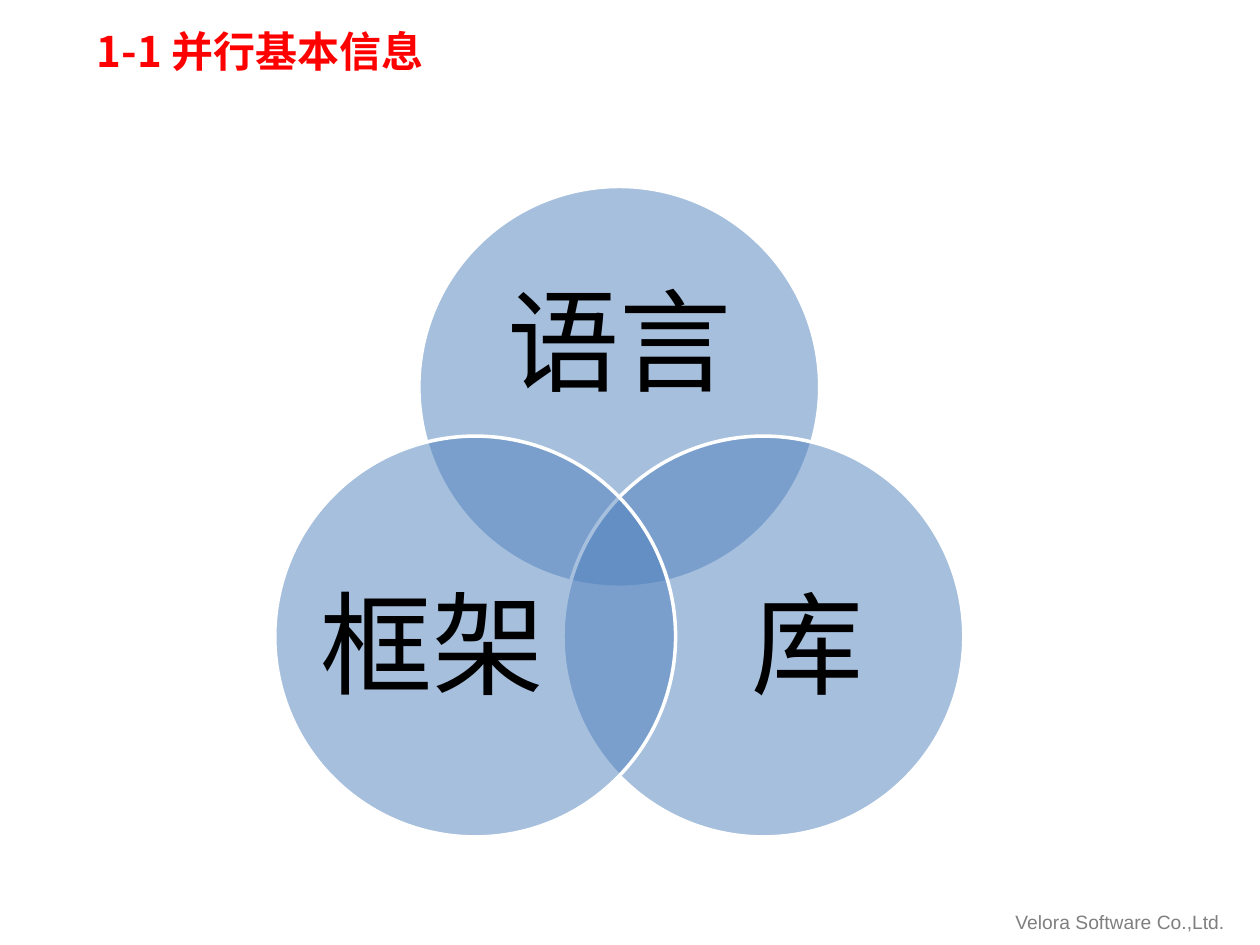
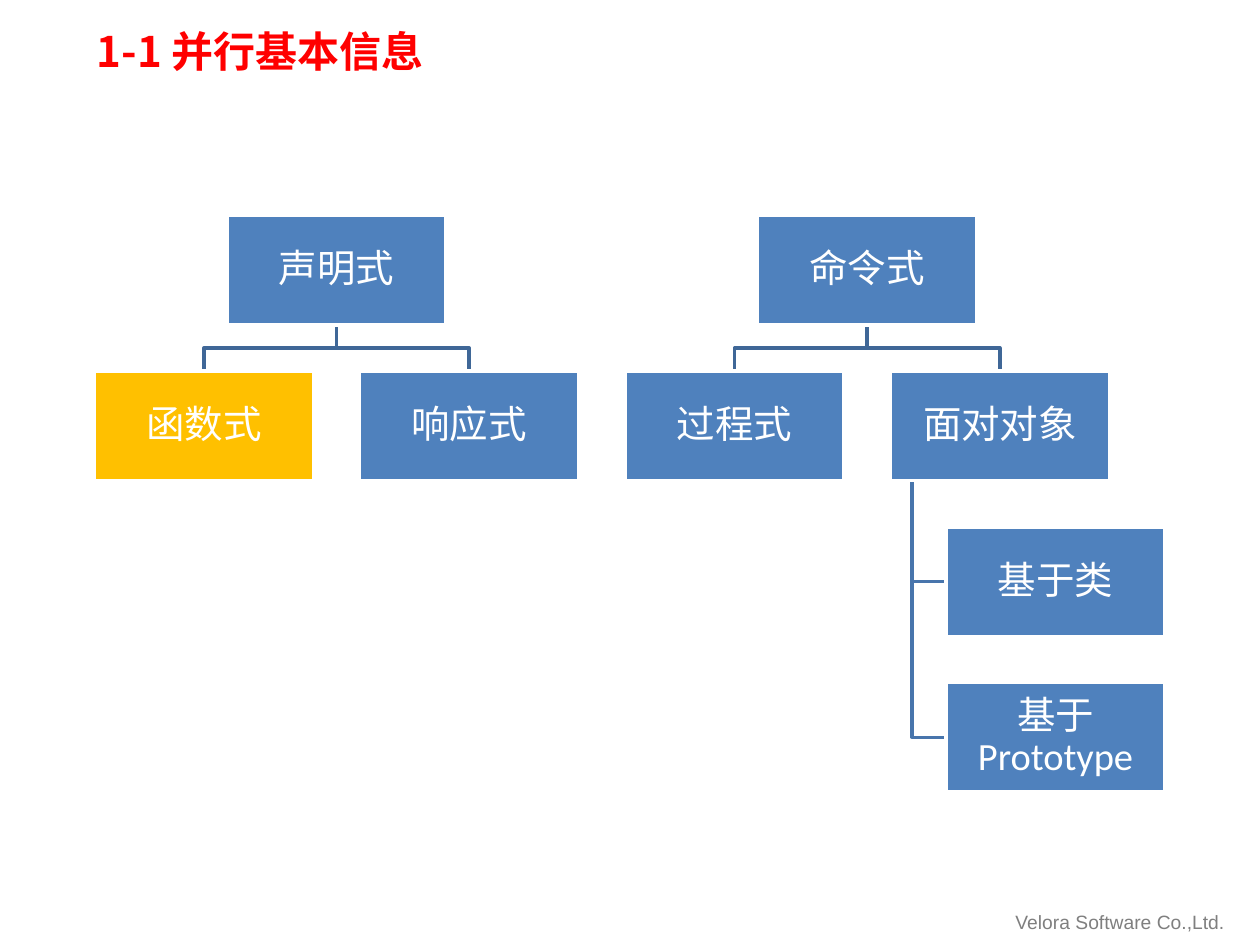
from dataclasses import dataclass
from math import cos, radians, sin

from lxml import etree
from pptx import Presentation
from pptx import util as u
from pptx.dml.color import RGBColor
from pptx.enum import shapes as sh, text as tx
from pptx.oxml import ns


@dataclass(frozen=True)
class Theme:
    red: str = "FF0000"
    blue: str = "4F81BD"
    gold: str = "FFC000"
    white: str = "FFFFFF"
    black: str = "000000"
    grey: str = "7F7F7F"
    link: str = "3F6797"
    side: str = "4875AC"
    body: str = "Calibri"
    han: str = "Noto Sans CJK SC"
    foot: str = "Arial"
    head_size: int = 24
    venn_size: int = 64
    tree_size: int = 22
    foot_size: int = 11
    rule: int = 2


T = Theme()
TITLE = "1-1 并行基本信息"
HEAD = (1.7, 0.2, 19.48, 1.63)
FOOT = (20.22, 18.21, 4.98, 0.74)
VENN = (5.54, 3.76, 13.89, 13.13)
TREE = (1.9, 4.34, 21.59, 11.63)

RINGS = (
    ("语言", -90, (0, -0.8), (5.92, 3.63)),
    ("库", 30, (0.88, 0.27), (4.85, 4.45)),
    ("框架", 150, (-0.86, 0.27), (4.85, 4.45)),
)

NODES = {
    "声明式": (0.5, 0, None),
    "函数式": (0, 1, "声明式"),
    "响应式": (1, 1, "声明式"),
    "命令式": (2.5, 0, None),
    "过程式": (2, 1, "命令式"),
    "面对对象": (3, 1, "命令式"),
    "基于类": (3.21, 2, "面对对象"),
    "基于Prototype": (3.21, 3, "面对对象"),
}
MARKED = "函数式"


def cm(vals):
    return [u.Cm(v) for v in vals]


def put(item, vals):
    for name, val in vals.items():
        setattr(item, name, val)


def write(shape, words, size, color, face=T.body, bold=False,
          align=tx.PP_ALIGN.CENTER, lead=0.9, pad=None, wrap=True):
    frame = shape.text_frame
    put(frame, {"word_wrap": wrap, "vertical_anchor": tx.MSO_ANCHOR.MIDDLE})
    if pad is not None:
        sides = ("left", "right", "top", "bottom")
        put(frame, {f"margin_{side}": u.Cm(pad) for side in sides})
    para = frame.paragraphs[0]
    put(para, {"alignment": align, "line_spacing": lead})
    run = para.add_run()
    run.text = words
    put(run.font, {"size": u.Pt(size), "name": face, "bold": bold})
    run.font.color.rgb = RGBColor.from_string(color)
    props = run.font._element
    etree.SubElement(props, ns.qn("a:ea")).set("typeface", T.han)


def paint(shape, line, fill=None, alpha=None):
    shape.shadow.inherit = False
    shape.line.color.rgb = RGBColor.from_string(line)
    shape.line.width = u.Pt(T.rule)
    if fill is None:
        shape.fill.background()
        return
    shape.fill.solid()
    shape.fill.fore_color.rgb = RGBColor.from_string(fill)
    if alpha:
        tone = shape.element.spPr.find(ns.qn("a:solidFill"))[0]
        etree.SubElement(tone, ns.qn("a:alpha")).set("val", str(alpha * 1000))


def set_head(layout):
    spots = ("left", "top", "width", "height")
    put(layout.placeholders[0], dict(zip(spots, cm(HEAD))))


def set_foot(slide, layout):
    box = slide.shapes.add_textbox(*cm(FOOT))
    write(box, "Velora Software Co.,Ltd.", T.foot_size, T.grey, T.foot,
          align=tx.PP_ALIGN.LEFT, lead=1.0, wrap=False)
    layout.shapes.element.append(box.element)


def add_page(deck, layout):
    slide = deck.slides.add_slide(layout)
    write(slide.shapes.title, TITLE, T.head_size, T.red, T.han, True,
          tx.PP_ALIGN.LEFT, 1.0)
    return slide


def draw_venn(slide, box):
    left, top, wide, _ = box
    size = 8.08
    orbit = (wide - size) / 2 / cos(radians(30))
    mid_x, mid_y = left + wide / 2, top + size / 2 + orbit
    for words, angle, shift, area in RINGS:
        x = mid_x + orbit * cos(radians(angle))
        y = mid_y + orbit * sin(radians(angle))
        ring = slide.shapes.add_shape(
            sh.MSO_SHAPE.OVAL, *cm((x - size / 2, y - size / 2, size, size)))
        paint(ring, T.white, T.blue, 50)
        spot = (x + shift[0] - area[0] / 2, y + shift[1] - area[1] / 2)
        label = slide.shapes.add_textbox(*cm(spot + area))
        write(label, words, T.venn_size, T.black, pad=0)


def draw_link(slide, points, color):
    start, *rest = [cm(point) for point in points]
    pen = slide.shapes.build_freeform(*start)
    pen.add_line_segments(rest, close=False)
    paint(pen.convert_to_shape(), color)


def draw_tree(slide, box):
    left, top, wide, high = box
    node_w, node_h = 4.42, 2.21
    step_x = (wide - node_w) / 3.21
    step_y = (high - node_h) / 3

    def spot(name):
        col, row, _ = NODES[name]
        return left + col * step_x, top + row * step_y

    for name, (_, row, boss) in NODES.items():
        if boss is None:
            continue
        x, y = spot(name)
        from_x, from_y = spot(boss)
        from_y += node_h
        if row == 1:
            x, from_x = x + node_w / 2, from_x + node_w / 2
            bend = (from_y + y) / 2
            draw_link(slide, ((from_x, from_y), (from_x, bend),
                              (x, bend), (x, y)), T.link)
        else:
            from_x += node_w / 10
            y += node_h / 2
            draw_link(slide, ((from_x, from_y), (from_x, y), (x, y)), T.side)

    for name in NODES:
        node = slide.shapes.add_shape(
            sh.MSO_SHAPE.RECTANGLE, *cm((*spot(name), node_w, node_h)))
        paint(node, T.white, T.gold if name == MARKED else T.blue)
        write(node, name, T.tree_size, T.white, pad=0.05)


def main():
    deck = Presentation()
    put(deck, {"slide_width": u.Cm(25.4), "slide_height": u.Cm(19.05)})
    layout = deck.slide_layouts.get_by_name("Title Only")
    set_head(layout)
    first = add_page(deck, layout)
    set_foot(first, layout)
    draw_venn(first, VENN)
    draw_tree(add_page(deck, layout), TREE)
    deck.save("out.pptx")


if __name__ == "__main__":
    main()
